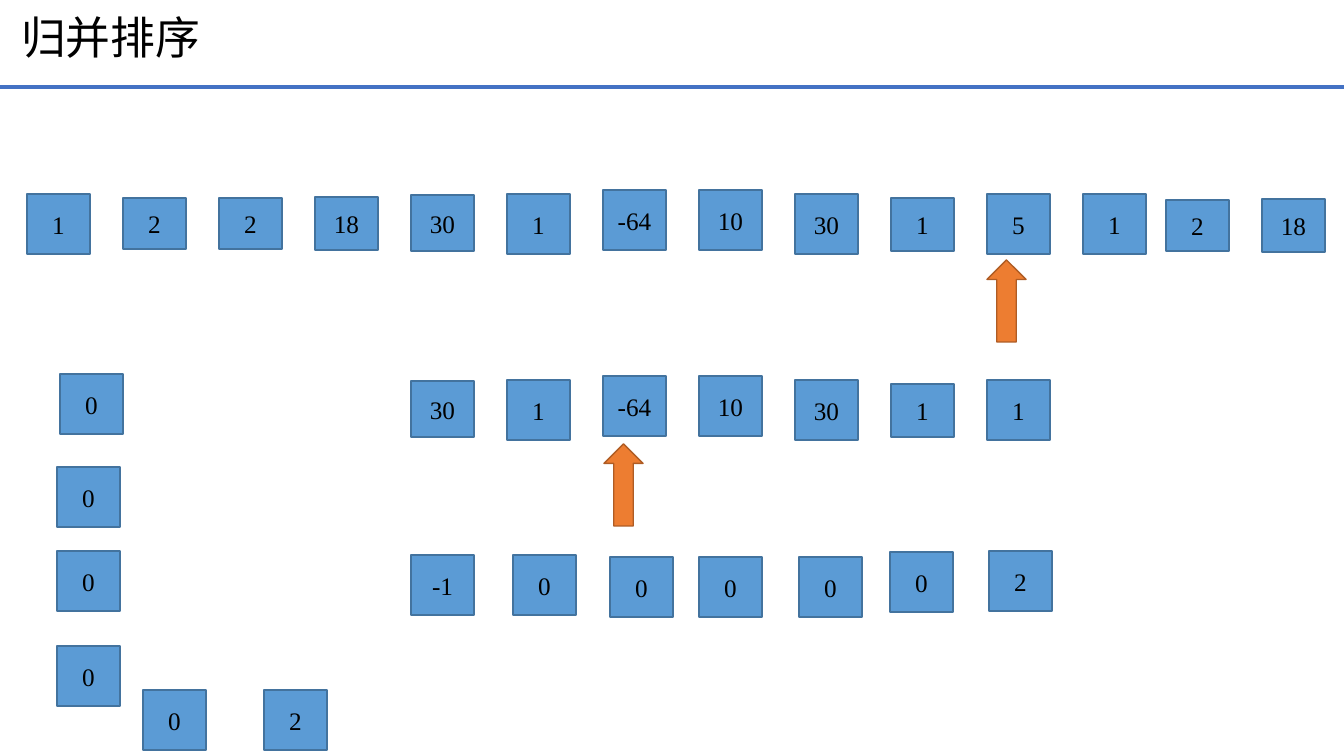
from pptx import Presentation
from pptx import util as u
from pptx.dml.color import RGBColor
from pptx.enum import shapes, text
from lxml import etree

PX = 914400 / 100.8
BLUE = RGBColor(0x5B, 0x9B, 0xD5)
EDGE = RGBColor(0x43, 0x73, 0x9E)
ORANGE = RGBColor(0xED, 0x7D, 0x31)
RUST = RGBColor(0xAF, 0x5C, 0x24)
RULE = RGBColor(0x44, 0x72, 0xC4)
BLACK = RGBColor(0, 0, 0)
FONT = "Times New Roman"
WIDE, TALL, STEP = 63, 60, 96
RECT = shapes.MSO_SHAPE.RECTANGLE
ARROW = shapes.MSO_SHAPE.UP_ARROW

# Cells of each row: value, offset from the row's top, height.
INPUT = [("1", 4, 60), ("2", 8, 51), ("2", 8, 51), ("18", 7, 53),
         ("30", 5, 56), ("1", 4, 60), ("-64", 0, 60), ("10", 0, 60),
         ("30", 4, 60), ("1", 8, 53), ("5", 4, 60), ("1", 4, 60)]
REST = [("2", 10, 51), ("18", 9, 53)]
MERGE = INPUT[4:10] + [("1", 4, 60)]

# Loose cells: value, offset from the group's left and top.
COUNT = [("-1", 0, 4), ("0", 102, 4), ("0", 199, 6), ("0", 288, 6),
         ("0", 388, 6), ("0", 479, 1), ("2", 578, 0)]
STACK = [("0", 3, 0), ("0", 0, 93), ("0", 0, 177), ("0", 0, 272),
         ("0", 86, 316), ("2", 207, 316)]


def emu(*sizes):
    """Turn pixels into EMU."""
    return [u.Emu(round(s * PX)) for s in sizes]


def write(shape, words, size=18, align=text.PP_ALIGN.CENTER, space=1.0):
    """Put formatted text, centred in height, into a shape."""
    frame = shape.text_frame
    frame.text = words
    frame.word_wrap = True
    frame.auto_size = text.MSO_AUTO_SIZE.NONE
    frame.vertical_anchor = text.MSO_ANCHOR.MIDDLE
    para = frame.paragraphs[0]
    para.alignment = align
    para.line_spacing = space
    font = para.runs[0].font
    font.name, font.size = FONT, u.Pt(size)
    font.color.rgb = BLACK


def block(slide, kind, box, fill, edge):
    """Draw a filled preset shape in a box."""
    shape = slide.shapes.add_shape(kind, *emu(*box))
    shape.shadow.inherit = False
    shape.fill.solid()
    shape.fill.fore_color.rgb = fill
    shape.line.color.rgb = edge
    shape.line.width = u.Pt(1)
    return shape


def cell(slide, value, x, y, high=TALL):
    """Draw one number cell."""
    write(block(slide, RECT, (x, y, WIDE, high), BLUE, EDGE), value)


def row(slide, left, top, cells):
    """Draw evenly stepped cells from a left top corner."""
    for i, (value, drop, high) in enumerate(cells):
        cell(slide, value, left + i * STEP, top + drop, high)


def group(slide, left, top, cells):
    """Draw freely placed cells from a left top corner."""
    for value, dx, dy in cells:
        cell(slide, value, left + dx, top + dy)


def mark(slide, left, top):
    """Draw an arrow pointing up at a cell."""
    block(slide, ARROW, (left, top, 39, 82), ORANGE, RUST)


def head(slide, left, top, wide, high):
    """Place the title and the rule under it."""
    title = slide.shapes.title
    title.left, title.top, title.width, title.height = emu(
        left + 11, top + 5, wide - 11, high - 17)
    write(title, "归并排序", size=32, align=text.PP_ALIGN.LEFT, space=0.9)
    base = top + high
    rule = slide.shapes.add_connector(
        shapes.MSO_CONNECTOR.STRAIGHT, *emu(left, base, left + wide, base))
    rule.line.color.rgb = RULE
    rule.line.width = u.Pt(2.25)
    props = rule._element.spPr
    etree.SubElement(props, props.tag.replace("}spPr", "}effectLst").replace(
        "presentationml", "drawingml"))
    # The effect list belongs to the main drawing namespace.
    props[-1].tag = props.find("{*}ln").tag.replace("}ln", "}effectLst")


def main():
    """Build and save the slide."""
    deck = Presentation()
    deck.slide_width, deck.slide_height = emu(1344, 756)
    slide = deck.slides.add_slide(deck.slide_layouts[5])
    head(slide, 0, 0, 1344, 87)
    row(slide, 27, 190, INPUT)
    row(slide, 1166, 190, REST)
    row(slide, 411, 376, MERGE)
    group(slide, 411, 551, COUNT)
    group(slide, 57, 374, STACK)
    mark(slide, 987, 260)
    mark(slide, 604, 444)
    deck.save("out.pptx")


main()
